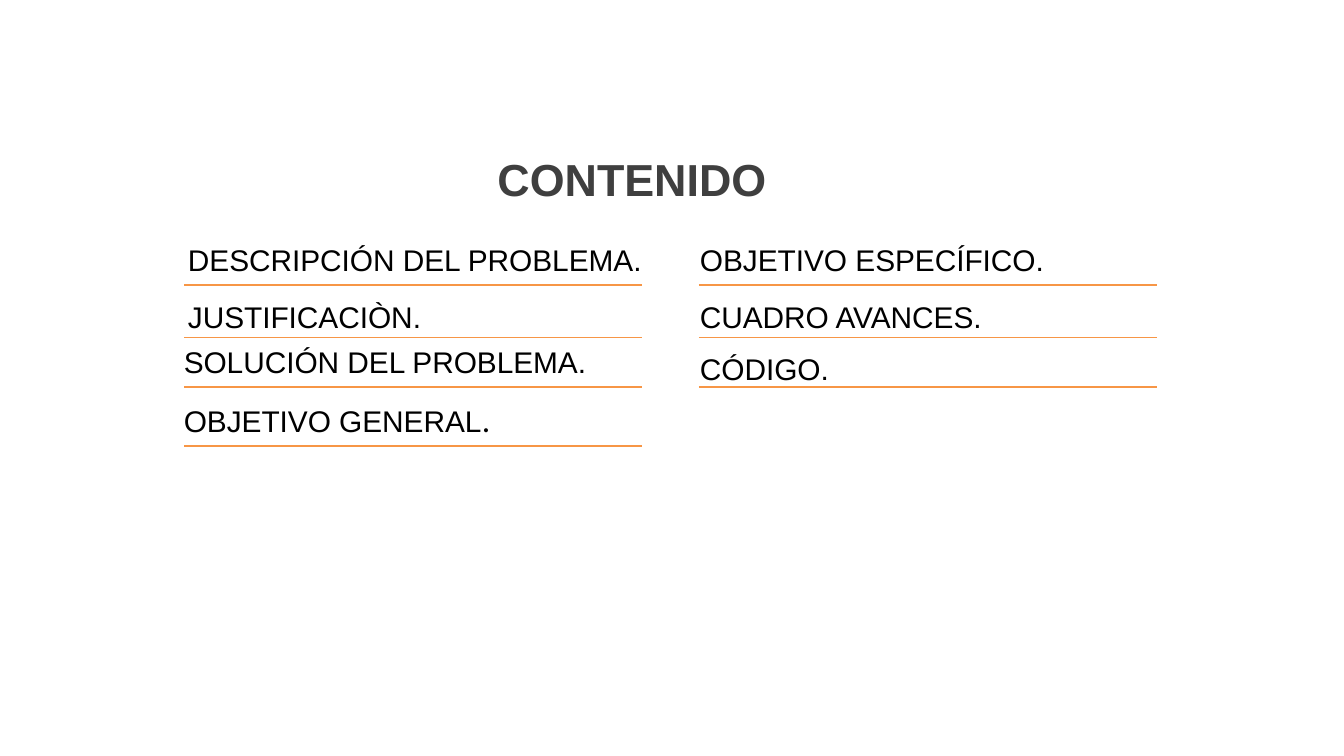
import pptx
import pptx.dml.color
import pptx.enum.shapes
import pptx.enum.text
import pptx.oxml.ns
import pptx.util
from lxml import etree

TEXT_COLOR = "000000"
TITLE_COLOR = "3F3F3F"
RULE_COLOR = "F79646"
RULE_WIDTH = 245.2
COLUMN_RULES = [(98.6, [152.6, 180.7, 207.4, 239]), (374.4, [152.6, 180.7, 207.4])]
ENTRIES = [
    ("DESCRIPCIÓN DEL PROBLEMA.", 93.6, 126, 303.8, 26.6, 3.6),
    ("JUSTIFICACIÒN.", 93.6, 152.6, 229, 28.8, 7.2),
    ("SOLUCIÓN DEL PROBLEMA.", 91.4, 180.7, 233.3, 26.6, 3.6),
    ("OBJETIVO ESPECÍFICO.", 367.9, 126, 200.9, 26.6, 3.6),
    ("CUADRO AVANCES.", 367.9, 152.6, 218.2, 28.8, 7.2),
    ("CÓDIGO.", 367.9, 180.7, 244.8, 26.6, 7.2),
]


def color(hex_value):
    """Return the colour for a hex string."""
    return pptx.dml.color.RGBColor.from_string(hex_value)


def format_run(run, size, font_name="Arial", hex_value=TEXT_COLOR, bold=False):
    """Set the font of one run."""
    run.font.name = font_name
    run.font.size = pptx.util.Pt(size)
    run.font.bold = bold
    run.font.color.rgb = color(hex_value)


def add_text(slide, text, left, top, width, height, inset=3.6, size=16, **font):
    """Add a one-line text box and return its paragraph."""
    box = slide.shapes.add_textbox(*map(pptx.util.Pt, (left, top, width, height)))
    text_frame = box.text_frame
    text_frame.word_wrap = True
    text_frame.margin_left = text_frame.margin_right = pptx.util.Pt(7.2)
    text_frame.margin_top = text_frame.margin_bottom = pptx.util.Pt(inset)
    text_frame.text = text
    paragraph = text_frame.paragraphs[0]
    format_run(paragraph.runs[0], size, **font)
    return paragraph


def add_rule(slide, left, top):
    """Add a horizontal line under an entry."""
    connector = slide.shapes.add_connector(
        pptx.enum.shapes.MSO_CONNECTOR.STRAIGHT,
        *map(pptx.util.Pt, (left, top, left + RULE_WIDTH, top)),
    )
    connector.line.color.rgb = color(RULE_COLOR)
    connector.line.width = pptx.util.Pt(0.75)
    etree.SubElement(connector._element.spPr, pptx.oxml.ns.qn("a:effectLst"))


def main():
    """Build the contents slide and save it."""
    presentation = pptx.Presentation()
    presentation.slide_width = pptx.util.Pt(720)
    presentation.slide_height = pptx.util.Pt(405)
    slide = presentation.slides.add_slide(presentation.slide_layouts[6])

    title = add_text(slide, "CONTENIDO", 241.9, 77.8, 175.7, 36,
                     size=24, hex_value=TITLE_COLOR, bold=True)
    title.alignment = pptx.enum.text.PP_ALIGN.RIGHT

    for left, tops in COLUMN_RULES:
        for top in tops:
            add_rule(slide, left, top)

    for entry in ENTRIES:
        add_text(slide, *entry)

    general_goal = add_text(slide, "OBJETIVO GENERAL", 91.4, 210.2, 223.9, 28.8)
    full_stop = general_goal.add_run()
    full_stop.text = "."
    format_run(full_stop, 18, "Calibri")

    presentation.save("out.pptx")


if __name__ == "__main__":
    main()
